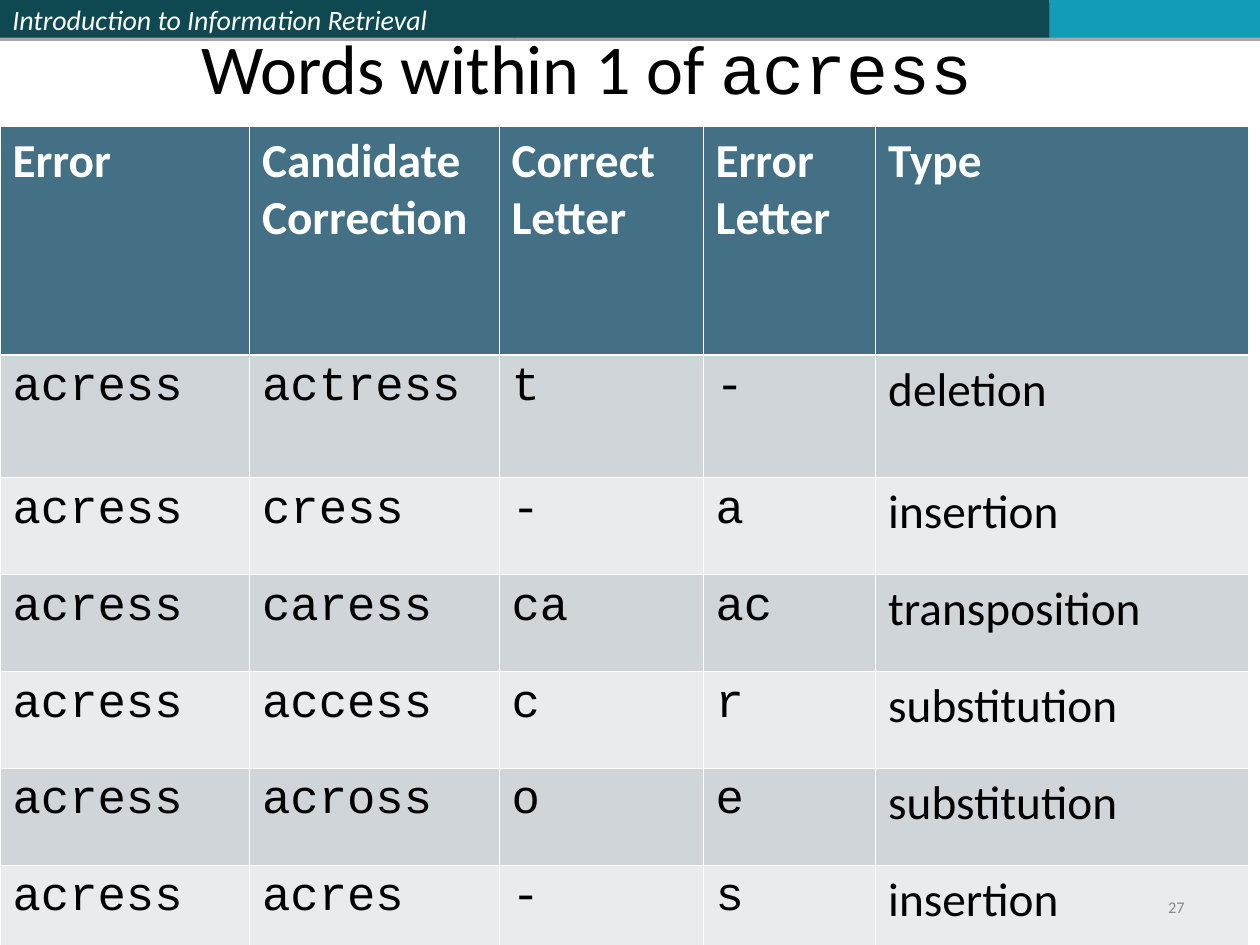
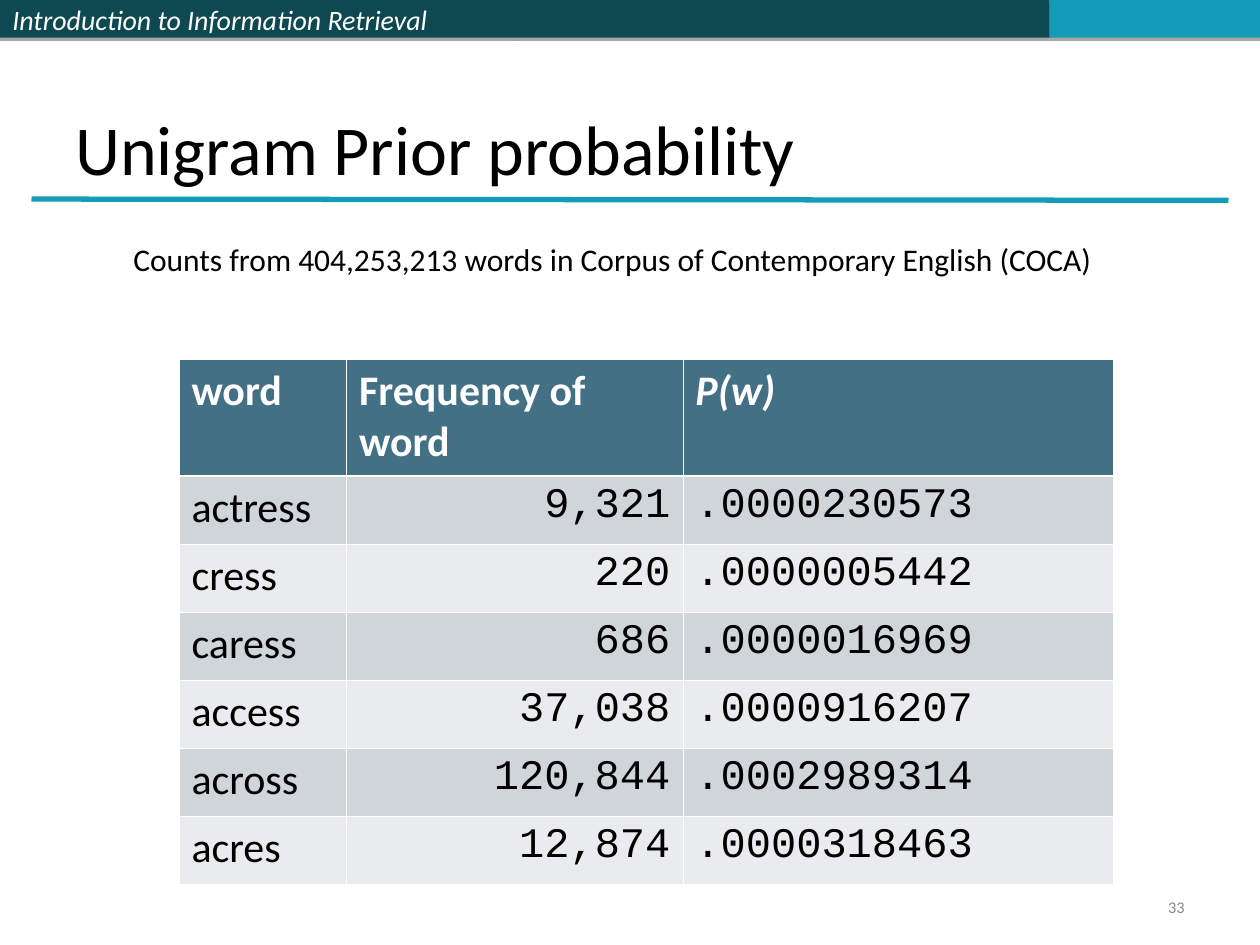
from lxml.etree import SubElement
from pptx import Presentation
from pptx.dml.color import RGBColor
from pptx.enum.shapes import MSO_CONNECTOR, MSO_SHAPE
from pptx.enum.text import MSO_ANCHOR as ANCHOR, PP_ALIGN as ALIGN
from pptx.oxml import parse_xml
from pptx.oxml.ns import nsdecls, qn
from pptx.util import Inches, Pt

COLORS = {
    "band": "0E4851", "accent": "139CB7", "header": "437085",
    "odd_row": "CFD5D9", "even_row": "E9EBED",
    "white": "FFFFFF", "black": "000000", "number": "898989",
}
SANS, MONO = "Calibri", "Courier New"
THIN, THICK = 0.45, 1.47

BAND_BOX = (0, 0, 10, 0.3)
RULE_BOX = (0.25, 1.58, 9.5, 0.01)
NUMBER_BOX = (7.17, 7.08, 2.33, 0.27)


def color(name):
    """Return the named colour."""
    return RGBColor.from_string(COLORS[name])


def apply(target, values):
    """Set every attribute in values on target."""
    for attribute, value in values.items():
        setattr(target, attribute, value)


def write(frame, runs, size, ink="black", align=ALIGN.LEFT, spacing=None, **style):
    """Fill a text frame with one paragraph of (text, font name) runs."""
    paragraph = frame.paragraphs[0]
    apply(paragraph, {"alignment": align, "line_spacing": spacing})
    for text, font_name in runs:
        run = paragraph.add_run()
        run.text = text
        apply(run.font, {"name": font_name, "size": Pt(size), **style})
        run.font.color.rgb = color(ink)


def add_label(slide, box, runs, size, anchor=ANCHOR.TOP, wrap=True, **style):
    """Place a text box in box and write its runs."""
    frame = slide.shapes.add_textbox(*map(Inches, box)).text_frame
    apply(frame, {"word_wrap": wrap, "vertical_anchor": anchor})
    write(frame, runs, size, **style)


def add_top_band(slide, box):
    """Draw the three-part band with its shadow and the course name."""
    left, top, _, height = box
    for width, fill, text in (
        (4.08, "band", "Introduction to Information Retrieval"),
        (4.25, "band", ""),
        (1.67, "accent", ""),
    ):
        part = slide.shapes.add_shape(
            MSO_SHAPE.RECTANGLE, *map(Inches, (left, top, width, height)))
        part.fill.solid()
        part.fill.fore_color.rgb = color(fill)
        part.line.fill.background()
        part.shadow.inherit = False
        effects = part._element.spPr.find(qn("a:effectLst"))
        effects.append(parse_xml(
            f'<a:outerShdw {nsdecls("a")} dist="{Pt(1.8)}" dir="5400000" rotWithShape="0">'
            f'<a:srgbClr val="{COLORS["black"]}"><a:alpha val="35000"/></a:srgbClr>'
            '</a:outerShdw>'))
        if text:
            part.text_frame.vertical_anchor = ANCHOR.MIDDLE
            write(part.text_frame, [(text, SANS)], 16, "white", italic=True)
        left += width


def add_title_rule(slide, box):
    """Draw the accent line under the title area."""
    left, top, width, height = box
    rule = slide.shapes.add_connector(
        MSO_CONNECTOR.STRAIGHT,
        *map(Inches, (left, top, left + width, top + height)))
    rule.line.color.rgb = color("accent")
    rule.line.width = Pt(3)
    SubElement(rule._element.spPr, qn("a:effectLst"))


def add_base(deck):
    """Add a blank slide with the shared band and title rule."""
    slide = deck.slides.add_slide(deck.slide_layouts[6])
    add_top_band(slide, BAND_BOX)
    add_title_rule(slide, RULE_BOX)
    return slide


def add_title(slide, box, runs):
    """Write the slide title at the bottom of box."""
    add_label(slide, box, runs, 40, ANCHOR.BOTTOM)


def add_page_number(slide, box, number):
    """Write the page number at the right of box."""
    add_label(slide, box, [(number, SANS)], 9.3, ANCHOR.MIDDLE,
              ink="number", align=ALIGN.RIGHT, spacing=0.8)


def add_borders(cell, row):
    """Give a cell white borders, thicker between header and body."""
    widths = {"lnL": THIN, "lnR": THIN,
              "lnT": THICK if row == 1 else THIN,
              "lnB": THICK if row == 0 else THIN}
    properties = cell._tc.get_or_add_tcPr()
    for side, width in widths.items():
        properties.append(parse_xml(
            f'<a:{side} {nsdecls("a")} w="{Pt(width)}"><a:solidFill>'
            f'<a:srgbClr val="{COLORS["white"]}"/></a:solidFill></a:{side}>'))


def add_word_table(slide, box, columns, heights, rows, size, italic_heads=()):
    """Build a banded table; columns holds (width, body font, body alignment)."""
    table = slide.shapes.add_table(
        len(rows), len(columns), *map(Inches, box)).table
    table.horz_banding = False
    for column, (width, _, _) in zip(table.columns, columns):
        column.width = Inches(width)
    for r, (texts, height) in enumerate(zip(rows, heights)):
        table.rows[r].height = Inches(height)
        for c, (text, (_, font_name, align)) in enumerate(zip(texts, columns)):
            cell = table.cell(r, c)
            add_borders(cell, r)
            cell.fill.solid()
            if r == 0:
                fill = "header"
                write(cell.text_frame, [(text, SANS)], size, "white",
                      bold=True, italic=text in italic_heads)
            else:
                fill = "odd_row" if r % 2 else "even_row"
                write(cell.text_frame, [(text, font_name)], size,
                      align=align, bold=False)
            cell.fill.fore_color.rgb = color(fill)


def build_candidates_slide(deck):
    """Slide listing the words one edit away from the error."""
    error = "acress"
    edits = [
        ("actress", "t", "-", "deletion"),
        ("cress", "-", "a", "insertion"),
        ("caress", "ca", "ac", "transposition"),
        ("access", "c", "r", "substitution"),
        ("across", "o", "e", "substitution"),
        ("acres", "-", "s", "insertion"),
    ]
    heads = ("Error", "Candidate Correction", "Correct Letter", "Error Letter", "Type")
    columns = [(width, MONO, ALIGN.LEFT) for width in (1.98, 1.98, 1.62, 1.37)]
    columns.append((2.96, SANS, ALIGN.LEFT))

    slide = add_base(deck)
    add_title(slide, (1.5, -0.17, 8.17, 1.08),
              [("Words within 1 of ", SANS), (error, MONO)])
    add_word_table(slide, (0, 1, 9.92, 6.65), columns,
                   [1.82, 0.97] + [0.77] * 5,
                   [heads] + [(error, *edit) for edit in edits], 27)
    add_page_number(slide, NUMBER_BOX, "27")


def build_prior_slide(deck):
    """Slide with the unigram prior of each candidate word."""
    rows = [
        ("word", "Frequency of word", "P(w)"),
        ("actress", "9,321", ".0000230573"),
        ("cress", "220", ".0000005442"),
        ("caress", "686", ".0000016969"),
        ("access", "37,038", ".0000916207"),
        ("across", "120,844", ".0002989314"),
        ("acres", "12,874", ".0000318463"),
    ]
    columns = [(1.33, SANS, ALIGN.LEFT), (2.67, MONO, ALIGN.RIGHT),
               (3.42, MONO, ALIGN.LEFT)]

    slide = add_base(deck)
    add_title(slide, (0.5, 0.3, 9, 1.25), [("Unigram Prior probability", SANS)])
    add_word_table(slide, (1.42, 2.85, 7.42, 4.18), columns,
                   [0.93] + [0.54] * 6, rows, 24, italic_heads=("P(w)",))
    add_page_number(slide, NUMBER_BOX, "33")
    add_label(slide, (0.96, 1.86, 7.83, 0.7),
              [("Counts from 404,253,213 words in Corpus of "
                "Contemporary English (COCA)", SANS)], 18, wrap=False)


deck = Presentation()
apply(deck, {"slide_width": Inches(10), "slide_height": Inches(7.5)})
build_candidates_slide(deck)
build_prior_slide(deck)
deck.save("out.pptx")
